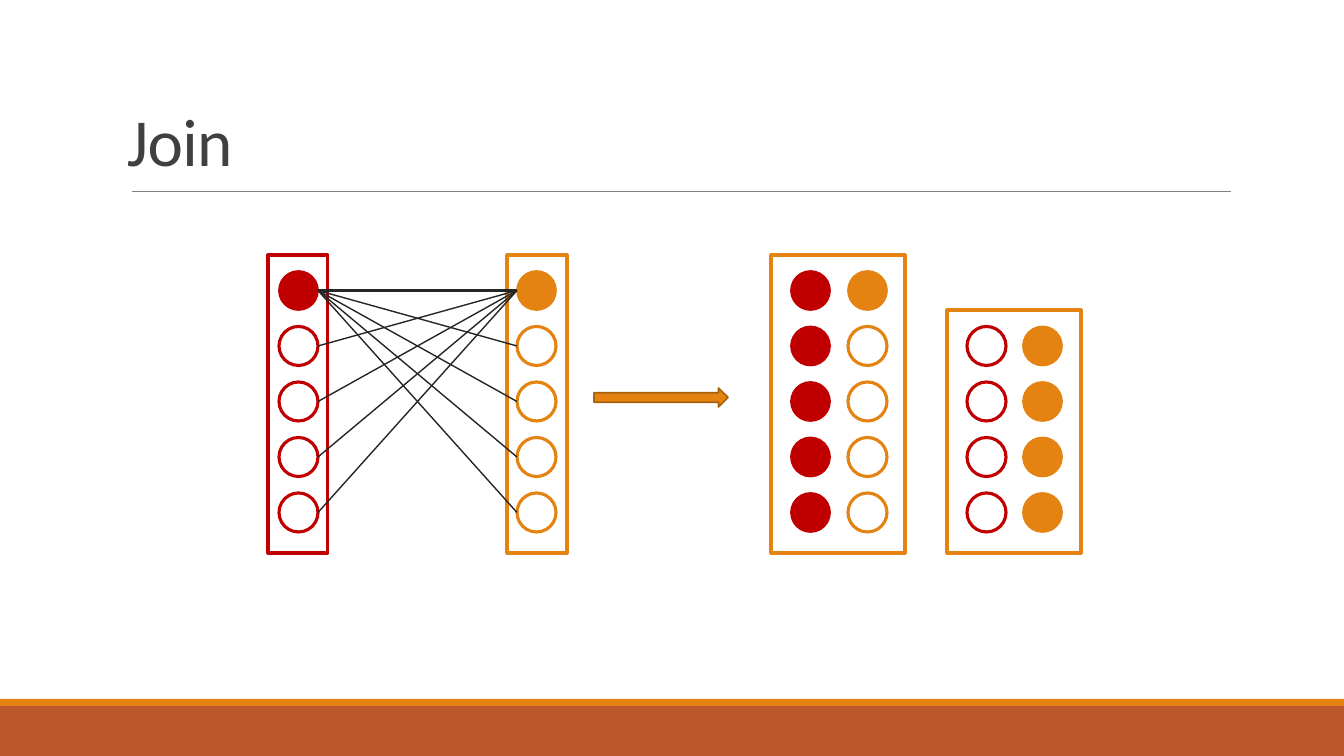
from lxml import etree
from pptx import Presentation
from pptx import util as u
from pptx.dml.color import RGBColor
from pptx.enum import shapes, text

# Content: lengths in px on a 1344 x 756 slide
WIDE, HIGH = 1344, 756
PX = 12192000 / WIDE
RED, GOLD, RUST = "C00000", "E48312", "BD582C"
INK, GREY, EDGE = "262626", "808080", "A9610D"
TITLE = "Join"
DOT, TOP, STEP, ROWS = 39, 271, 55.5, 5

BANDS = [(0, 706, WIDE, 50, RUST), (0, 699, WIDE, 7, GOLD)]
FRAMES = [
    (268, 255, 60, 298, RED),
    (507, 255, 60, 298, GOLD),
    (771, 255, 134, 298, GOLD),
    (947, 310, 134, 243, GOLD),
]
# Left edge, colour, rows shown, rows filled
LEFT, RIGHT = 279, 517
COLUMNS = [
    (LEFT, RED, range(ROWS), [0]),
    (RIGHT, GOLD, range(ROWS), [0]),
    (791, RED, range(ROWS), range(ROWS)),
    (848, GOLD, range(ROWS), [0]),
    (967, RED, range(1, ROWS), []),
    (1023, GOLD, range(1, ROWS), range(1, ROWS)),
]

deck = Presentation()
deck.slide_width, deck.slide_height = u.Emu(12192000), u.Emu(6858000)
slide = deck.slides.add_slide(deck.slide_layouts[6])
KIND = shapes.MSO_SHAPE


def emu(*nums):
    return [u.Emu(round(n * PX)) for n in nums]


def color(code):
    return RGBColor.from_string(code)


def shape(kind, box, fill=None, line=None, width=2.25):
    item = slide.shapes.add_shape(kind, *emu(*box))
    item.shadow.inherit = False
    if fill:
        item.fill.solid()
        item.fill.fore_color.rgb = color(fill)
    else:
        item.fill.background()
    if line:
        item.line.color.rgb = color(line)
        item.line.width = u.Pt(width)
    else:
        item.line.fill.background()


def link(x1, y1, x2, y2, line=INK, width=1):
    item = slide.shapes.add_connector(
        shapes.MSO_CONNECTOR.STRAIGHT, *emu(x1, y1, x2, y2))
    item.line.color.rgb = color(line)
    item.line.width = u.Pt(width)
    props = item._element.spPr
    space = props.nsmap["a"]
    etree.SubElement(props, f"{{{space}}}effectLst")


def label(words, box, size, fill, font="Calibri", lead=1, track=0):
    frame = slide.shapes.add_textbox(*emu(*box)).text_frame
    frame.word_wrap = True
    frame.vertical_anchor = text.MSO_ANCHOR.BOTTOM
    para = frame.paragraphs[0]
    para.line_spacing = lead
    run = para.add_run()
    run.text = words
    run.font.size, run.font.name = u.Pt(size), font
    run.font.color.rgb = color(fill)
    run.font._element.set("spc", str(round(track * 100)))


def row_top(row):
    return TOP + row * STEP


# Footer bands, title and rule
for *box, fill in BANDS:
    shape(KIND.RECTANGLE, box, fill)
link(132, 191, 1231, 191, GREY, 0.5)
label(TITLE, (117, 25, 1109, 160), 48, "404040", lead=0.85, track=-0.5)

# Frames and their columns of dots
for *box, line in FRAMES:
    shape(KIND.RECTANGLE, box, line=line)
for x, tone, shown, full in COLUMNS:
    for row in shown:
        fill = tone if row in full else None
        shape(KIND.OVAL, (x, row_top(row), DOT, DOT), fill, tone,
              1.25 if fill else 2.25)

# Each first dot meets every dot on the other side
pairs = [(0, row) for row in range(ROWS)]
pairs += [(row, 0) for row in range(1, ROWS)]
for a, b in pairs:
    link(LEFT + DOT, row_top(a) + DOT / 2, RIGHT, row_top(b) + DOT / 2,
         width=2.25 if a == b else 1)

# Arrow to the result
shape(KIND.RIGHT_ARROW, (594, 388, 134, 19), GOLD, EDGE, 1.25)

deck.save("out.pptx")
